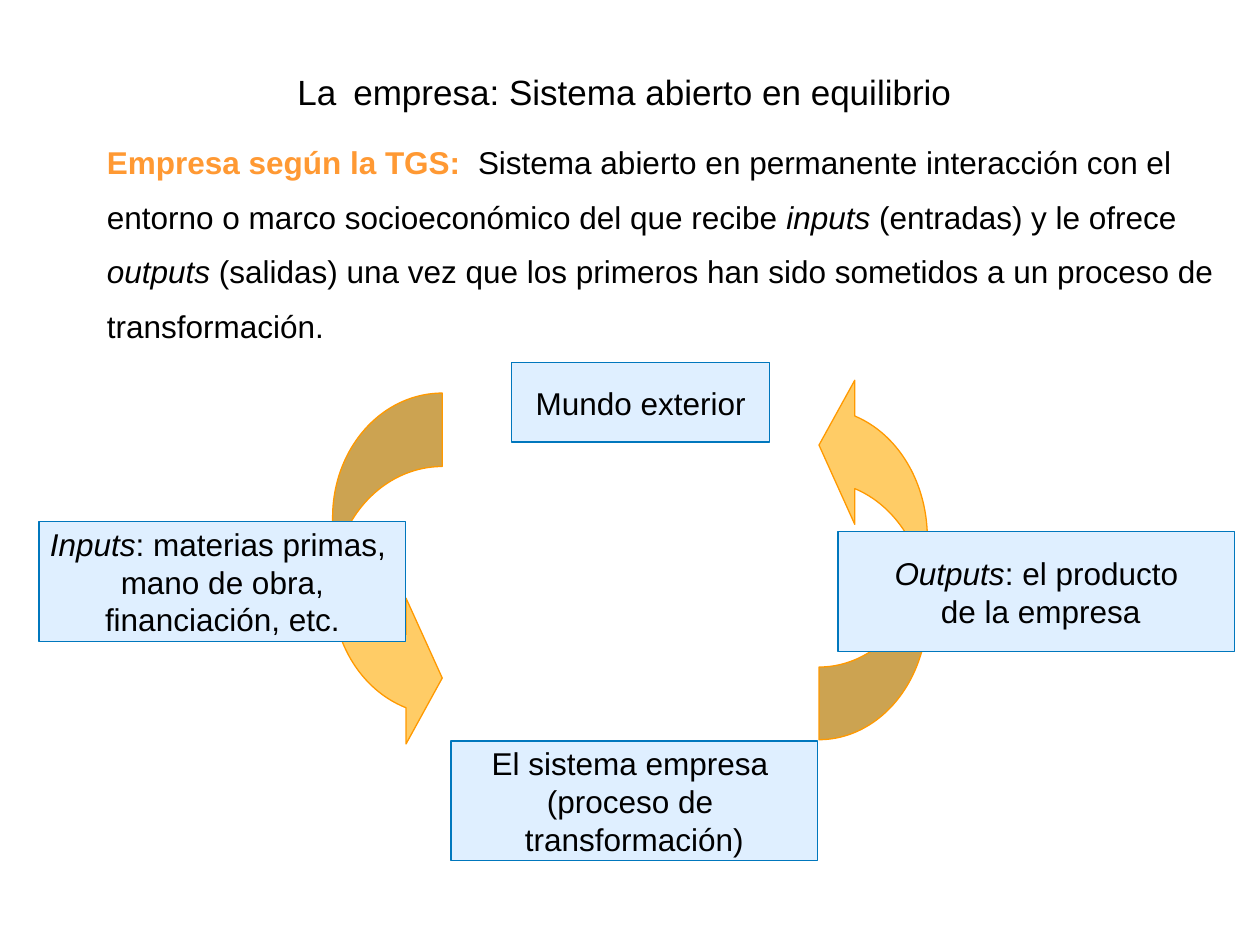
from pptx import Presentation
from pptx.util import Inches, Pt
from pptx.dml.color import RGBColor
from pptx.enum.shapes import MSO_SHAPE as Shape
from pptx.enum.text import MSO_ANCHOR as Anchor, MSO_AUTO_SIZE as Auto, PP_ALIGN as Align


def color(code):
    """Turn a hex string into a colour."""
    return RGBColor.from_string(code)


def paint(item, fill, line):
    """Give a shape a flat fill and a thin line."""
    item.shadow.inherit = False
    item.fill.solid()
    item.fill.fore_color.rgb = color(fill)
    item.line.color.rgb = color(line)
    item.line.width = Pt(0.75)


def write(item, lines, size=18, align=Align.CENTER, anchor=Anchor.MIDDLE,
          wrap=True, pad=0.05, lead=None, before=None):
    """Write lines of (text, format) runs into a shape."""
    frame = item.text_frame
    frame.word_wrap = wrap
    frame.vertical_anchor = anchor
    frame.margin_left = frame.margin_right = Inches(0.1)
    frame.margin_top = frame.margin_bottom = Inches(pad)
    for num, runs in enumerate(lines):
        para = frame.add_paragraph() if num else frame.paragraphs[0]
        para.alignment = align
        if lead:
            para.line_spacing = lead
        if before:
            para.space_before = Pt(before)
        for text, look in runs:
            run = para.add_run()
            run.text = text
            font = run.font
            font.name = "Arial"
            font.size = Pt(look.get("size", size))
            font.bold = look.get("bold", False)
            font.italic = look.get("italic", False)
            font.color.rgb = color(look.get("hue", "000000"))


def label(slide, spot, lines, **form):
    """Add a text box."""
    box = slide.shapes.add_textbox(*map(Inches, spot))
    write(box, lines, **form)
    return box


def block(slide, spot, lines):
    """Add a blue box of centred text."""
    box = slide.shapes.add_shape(Shape.RECTANGLE, *map(Inches, spot))
    paint(box, "DFEFFF", "0077BD")
    write(box, lines, wrap=False)


def arrow(slide, spot, turn=0):
    """Add an orange curved arrow."""
    bow = slide.shapes.add_shape(Shape.CURVED_RIGHT_ARROW, *map(Inches, spot))
    paint(bow, "FFCC66", "FF9900")
    bow.rotation = turn
    for num, part in enumerate((0.67, 1.33, 0.33)):
        bow.adjustments[num] = part


def main():
    """Build the slide and save it."""
    deck = Presentation()
    deck.slide_width, deck.slide_height = Inches(10), Inches(7.5)
    slide = deck.slides.add_slide(deck.slide_layouts[6])
    plain, slant = {}, {"italic": True}

    arrow(slide, (6.5, 2.96, 0.86, 2.91), turn=180)
    arrow(slide, (2.64, 3.12, 0.87, 2.84))

    label(slide, (0.5, 0.3, 8.99, 0.69), [[
        ("La", plain), (" ", {"size": 35}),
        ("empresa: Sistema abierto en equilibrio ", plain)]], size=20)
    body = label(slide, (0.75, 0.99, 8.98, 1.76), [[
        ("Empresa según la TGS:  ", {"bold": True, "hue": "FF9933"}),
        ("Sistema abierto en permanente interacción con el entorno o marco "
         "socioeconómico del que recibe ", plain),
        ("inputs", slant), (" (entradas) y le ofrece ", plain),
        ("outputs", slant),
        (" (salidas) una vez que los primeros han sido sometidos a un "
         "proceso de transformación.", plain)]],
        align=Align.LEFT, anchor=Anchor.TOP, pad=0.01, lead=1.45, before=16.9)
    body.text_frame.auto_size = Auto.SHAPE_TO_FIT_TEXT

    block(slide, (4.06, 2.88, 2.05, 0.63), [[("Mundo exterior", plain)]])
    block(slide, (0.31, 4.14, 2.91, 0.95), [
        [("Inputs", slant), (": materias primas, ", plain)],
        [("mano de obra,", plain)], [("financiación, etc.", plain)]])
    block(slide, (6.65, 4.22, 3.15, 0.95), [
        [("Outputs", slant), (": el producto", plain)],
        [(" de la empresa", plain)]])
    block(slide, (3.58, 5.88, 2.91, 0.95), [
        [("El sistema empresa ", plain)], [("(proceso de ", plain)],
        [("transformación)", plain)]])
    deck.save("out.pptx")


if __name__ == "__main__":
    main()
